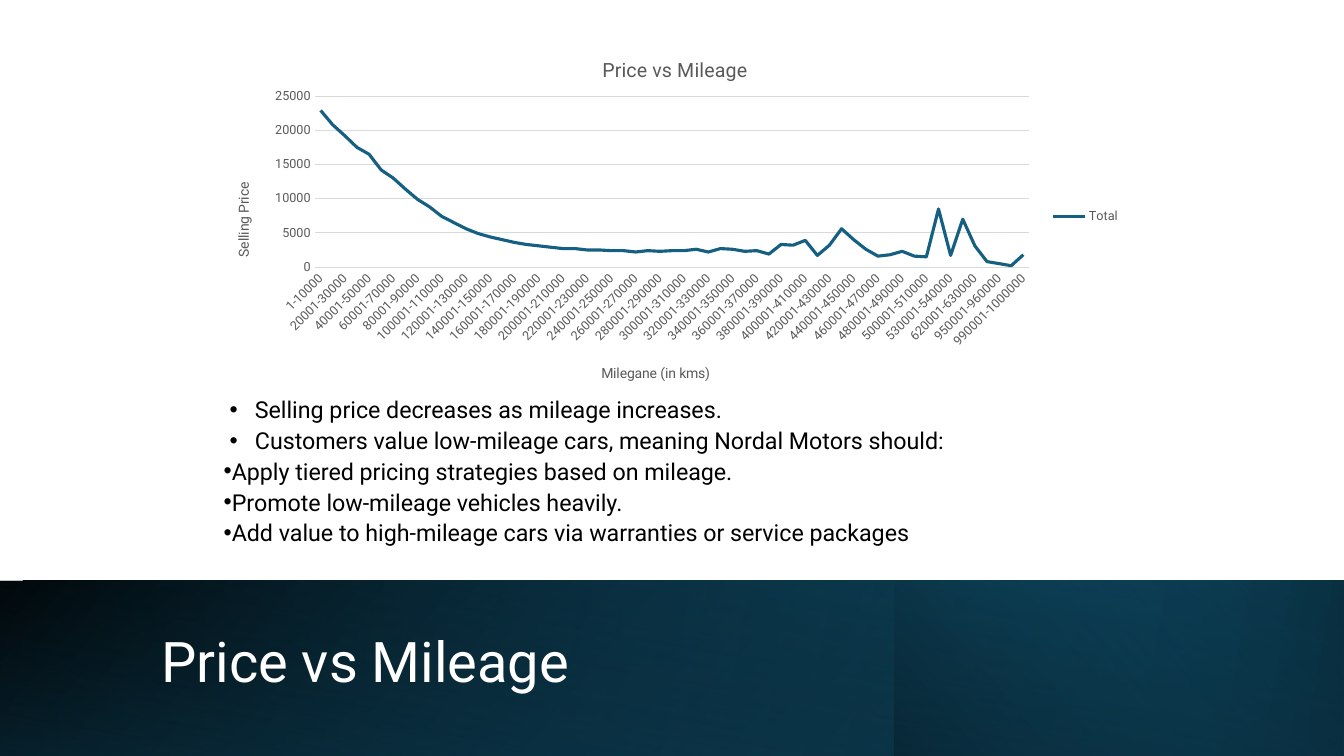
from lxml import etree
from pptx import Presentation
from pptx.chart import data as cd
from pptx.dml import color
from pptx.enum import chart as ch, shapes, text
from pptx.oxml import ns, parse_xml
from pptx.util import Inches, Pt

FONT = "Roboto"
BLUE, NAVY, BLACK, WHITE = "156082", "0B3041", "000000", "FFFFFF"
GREY, RULE = "595959", "D9D9D9"

# Each mileage band covers 10000 km; these are the bands that hold cars.
BANDS = [*range(51), 52, 53, 58, 62, 69, 95, 98, 99]
PRICES = [
    22900, 20800, 19200, 17500, 16500, 14200, 13000, 11400, 9900, 8800,
    7400, 6500, 5600, 4900, 4400, 4000, 3600, 3300, 3100, 2900,
    2700, 2700, 2500, 2500, 2400, 2400, 2200, 2400, 2300, 2400,
    2400, 2600, 2200, 2700, 2600, 2300, 2400, 1900, 3300, 3200,
    3900, 1700, 3200, 5600, 4000, 2600, 1600, 1800, 2300, 1600,
    1500, 8500, 1700, 7000, 3100, 800, 500, 200, 1800]

POINTS = [
    ("Selling price decreases as mileage increases.", 0.31),
    ("Customers value low-mileage cars, meaning Nordal Motors should:", 0.31),
    ("Apply tiered pricing strategies based on mileage.", 0),
    ("Promote low-mileage vehicles heavily.", 0),
    ("Add value to high-mileage cars via warranties or service packages", 0),
]


def rgb(code):
    return color.RGBColor.from_string(code)


def place(node, index, **spots):
    """Give a chart part a manual layout, in fractions of the chart."""
    for old in node.findall(ns.qn("c:layout")):
        node.remove(old)
    layout = etree.Element(ns.qn("c:layout"))
    manual = etree.SubElement(layout, ns.qn("c:manualLayout"))
    if "w" in spots:
        etree.SubElement(manual, ns.qn("c:layoutTarget")).set("val", "inner")
    for key in ("xMode", "yMode"):
        etree.SubElement(manual, ns.qn("c:" + key)).set("val", "edge")
    for key, value in spots.items():
        etree.SubElement(manual, ns.qn("c:" + key)).set("val", str(value))
    node.insert(index, layout)


class Deck:
    def __init__(self):
        self.prs = Presentation()
        self.prs.slide_width = Inches(13.33)
        self.prs.slide_height = Inches(7.5)
        self.slide = self.prs.slides.add_slide(self.prs.slide_layouts[5])

    def style(self, font, size, tint):
        font.name, font.size, font.bold = FONT, Pt(size), False
        font.color.rgb = rgb(tint)

    def band(self, box, stops, angle, turn=0):
        """Add a gradient band; each stop is (position, colour, opacity)."""
        shape = self.slide.shapes.add_shape(
            shapes.MSO_SHAPE.RECTANGLE, *map(Inches, box))
        shape.shadow.inherit = False
        shape.line.fill.background()
        if turn:
            shape.rotation = turn
        else:
            shape._element.spPr.xfrm.set("flipH", "1")
        marks = "".join(
            f'<a:gs pos="{pos * 1000}"><a:srgbClr val="{tint}">'
            f'<a:alpha val="{alpha * 1000}"/></a:srgbClr></a:gs>'
            for pos, tint, alpha in stops)
        fill = parse_xml(
            f'<a:gradFill {ns.nsdecls("a")} rotWithShape="1"><a:gsLst>{marks}'
            f'</a:gsLst><a:lin ang="{angle * 60000}" scaled="0"/></a:gradFill>')
        shape._element.spPr.prstGeom.addnext(fill)

    def title(self, words, box):
        shape = self.slide.shapes.title
        shape.left, shape.top, shape.width, shape.height = map(Inches, box)
        self.slide.shapes._spTree.append(shape._element)
        frame = shape.text_frame
        frame.word_wrap = True
        frame.vertical_anchor = text.MSO_ANCHOR.MIDDLE
        para = frame.paragraphs[0]
        para.alignment = text.PP_ALIGN.LEFT
        para.line_spacing = 0.9
        run = para.add_run()
        run.text = words
        self.style(run.font, 40, WHITE)

    def bullets(self, points, box):
        frame = self.slide.shapes.add_textbox(*map(Inches, box)).text_frame
        frame.word_wrap = True
        frame.margin_top = Inches(0.02)
        for i, (words, indent) in enumerate(points):
            para = frame.add_paragraph() if i else frame.paragraphs[0]
            para.line_spacing = 0.8
            para.space_after = Pt(6)
            props = para._p.get_or_add_pPr()
            props.set("marL", str(Inches(indent)))
            props.set("indent", str(Inches(-0.25)))
            etree.SubElement(props, ns.qn("a:buFont")).set("typeface", "Arial")
            etree.SubElement(props, ns.qn("a:buChar")).set("char", "•")
            run = para.add_run()
            run.text = words
            self.style(run.font, 16.6, BLACK)

    def label(self, owner, words, size, x, y):
        """Write a chart or axis title and set its top left corner."""
        owner.has_title = True
        head = owner.chart_title if hasattr(owner, "chart_title") else owner.axis_title
        run = head.text_frame.paragraphs[0].add_run()
        run.text = words
        self.style(run.font, size, GREY)
        place(head._element, 1, x=x, y=y)
        return head

    def chart(self, box):
        data = cd.CategoryChartData()
        data.categories = [f"{n * 10000 + 1}-{(n + 1) * 10000}" for n in BANDS]
        data.add_series("Total", PRICES)
        chart = self.slide.shapes.add_chart(
            ch.XL_CHART_TYPE.LINE, *map(Inches, box), data).chart
        self.style(chart.font, 10, BLACK)
        place(chart._chartSpace.chart.plotArea, 0, x=0.11, y=0.17, w=0.78, h=0.47)
        chart.plots[0].vary_by_categories = False
        line = chart.series[0]
        line.smooth = False
        line.marker.style = ch.XL_MARKER_STYLE.NONE
        line.format.line.color.rgb = rgb(BLUE)
        line.format.line.width = Pt(2.25)

        miles, price = chart.category_axis, chart.value_axis
        for axis in (miles, price):
            axis.major_tick_mark = axis.minor_tick_mark = ch.XL_TICK_MARK.NONE
            self.style(axis.tick_labels.font, 9, GREY)
        miles._element.txPr.bodyPr.set("rot", "-2700000")
        price.minimum_scale, price.maximum_scale = 0, 25000
        price.major_unit = 5000
        price.format.line.fill.background()
        for rule in (miles.format.line, price.major_gridlines.format.line):
            rule.color.rgb = rgb(RULE)
            rule.width = Pt(0.75)

        self.label(chart, "Price vs Mileage", 14, 0.42, 0.05)
        self.label(miles, "Milegane (in kms)", 10, 0.42, 0.9)
        side = self.label(price, "Selling Price", 10, 0.02, 0.4)
        body = side.text_frame._txBody.bodyPr
        body.set("rot", "-5400000")
        body.set("vert", "horz")

        chart.has_legend = True
        chart.legend.position = ch.XL_LEGEND_POSITION.RIGHT
        chart.legend.include_in_layout = False
        self.style(chart.legend.font, 9, GREY)


def main():
    deck = Deck()
    strip = (0, 5.76, 13.33, 1.74)
    deck.band(strip, [(0, BLACK, 100), (100, BLUE, 100)], 140)
    deck.band(strip, [(0, BLUE, 0), (100, NAVY, 100)], 170)
    deck.band((8.87, 5.76, 4.46, 1.74), [(0, NAVY, 100), (100, BLUE, 0)], 220)
    deck.band((-0.01, 5.76, 13.33, 1.75), [(0, BLACK, 0), (99, NAVY, 55)], 280, 180)
    deck.title("Price vs Mileage", (1.5, 6.03, 10.82, 1.13))
    deck.bullets(POINTS, (2.12, 3.96, 9.11, 1.67))
    deck.chart((2.12, 0.34, 9.09, 3.61))
    deck.prs.save("out.pptx")


if __name__ == "__main__":
    main()
